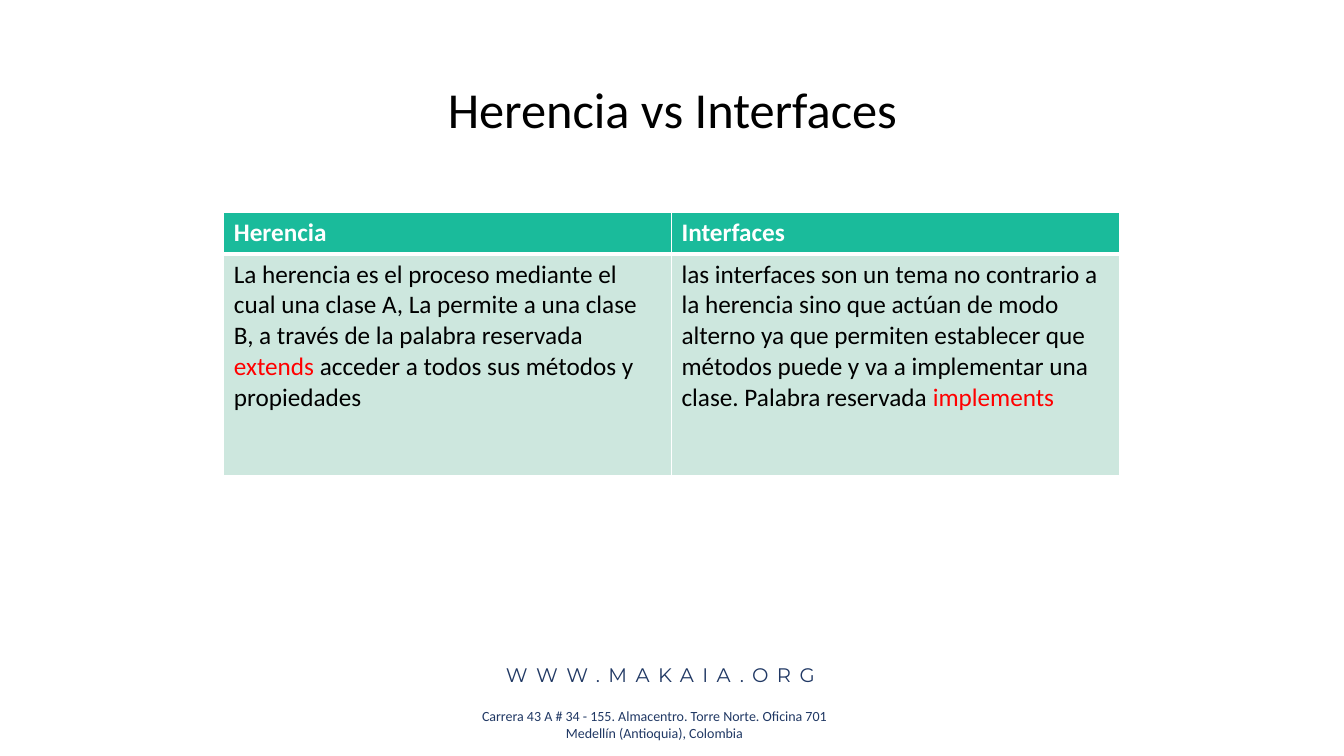
from pptx import Presentation
from pptx.dml.color import RGBColor
from pptx.enum.text import PP_ALIGN
from pptx.oxml import parse_xml
from pptx.oxml.ns import nsdecls
from pptx.util import Inches, Pt

WHITE = RGBColor(0xFF, 0xFF, 0xFF)
BLACK = RGBColor(0x00, 0x00, 0x00)
RED = RGBColor(0xFF, 0x00, 0x00)
NAVY = RGBColor(0x20, 0x38, 0x64)
GREEN = RGBColor(0x1A, 0xBB, 0x9B)
MINT = RGBColor(0xCD, 0xE7, 0xDE)

HEADERS = ["Herencia", "Interfaces"]
# Each cell is a list of (text, colour) runs.
DEFINITIONS = [
    [("La herencia es el proceso mediante el cual una clase A, La permite a una "
      "clase B, a través de la palabra reservada ", BLACK),
     ("extends", RED),
     (" acceder a todos sus métodos y propiedades", BLACK)],
    [("las interfaces son un tema no contrario a la herencia sino que actúan de "
      "modo alterno ya que permiten establecer que métodos puede y va a "
      "implementar una clase. Palabra reservada ", BLACK),
     ("implements", RED)],
]


def add_run(p, text, size=18, color=BLACK, bold=False, font="Calibri", spacing=0):
    """Add a formatted run; spacing is the gap between letters in points."""
    r = p.add_run()
    r.text = text
    r.font.name = font
    r.font.size = Pt(size)
    r.font.bold = bold
    r.font.color.rgb = color
    if spacing:
        r.font._element.set("spc", str(spacing * 100))


def add_centered_text(slide, lines, left, top, width, height, **style):
    box = slide.shapes.add_textbox(Inches(left), Inches(top), Inches(width), Inches(height))
    tf = box.text_frame
    tf.word_wrap = True
    for i, line in enumerate(lines):
        p = tf.add_paragraph() if i else tf.paragraphs[0]
        p.alignment = PP_ALIGN.CENTER
        add_run(p, line, **style)


def set_borders(cell, **widths):
    """Draw white borders, given as side=points in the order L, R, T, B."""
    tcPr = cell._tc.get_or_add_tcPr()
    for i, (side, width) in enumerate(widths.items()):
        tcPr.insert(i, parse_xml(
            f'<a:ln{side} {nsdecls("a")} w="{Pt(width)}"><a:solidFill>'
            f'<a:srgbClr val="{WHITE}"/></a:solidFill></a:ln{side}>'))


def fill_cell(cell, runs, fill, top=1, bottom=1, bold=False):
    cell.fill.solid()
    cell.fill.fore_color.rgb = fill
    set_borders(cell, L=1, R=1, T=top, B=bottom)
    for text, color in runs:
        add_run(cell.text_frame.paragraphs[0], text, color=color, bold=bold)


def add_comparison_table(slide):
    table = slide.shapes.add_table(2, 2, Inches(2.22), Inches(2.11),
                                   Inches(8.88), Inches(2.61)).table
    table.rows[0].height = Inches(0.41)
    table.rows[1].height = Inches(2.2)
    for col, (header, runs) in enumerate(zip(HEADERS, DEFINITIONS)):
        fill_cell(table.cell(0, col), [(header, WHITE)], GREEN, bottom=3, bold=True)
        fill_cell(table.cell(1, col), runs, MINT, top=3)


def main():
    prs = Presentation()
    prs.slide_width = Inches(13.33)
    prs.slide_height = Inches(7.5)
    slide = prs.slides.add_slide(prs.slide_layouts[6])

    add_centered_text(slide, ["Carrera 43 A # 34 - 155. Almacentro. Torre Norte. Oficina 701",
                              "Medellín (Antioquia), Colombia"],
                      2.84, 6.97, 7.3, 0.44, size=10, color=NAVY)
    add_centered_text(slide, ["WWW.MAKAIA.ORG"], 3.26, 6.53, 6.58, 0.34,
                      size=14, color=NAVY, font="Montserrat", spacing=6)
    add_centered_text(slide, ["Herencia vs Interfaces"], 3.62, 0.73, 6.1, 0.71, size=36)
    add_comparison_table(slide)

    prs.save("out.pptx")


if __name__ == "__main__":
    main()
